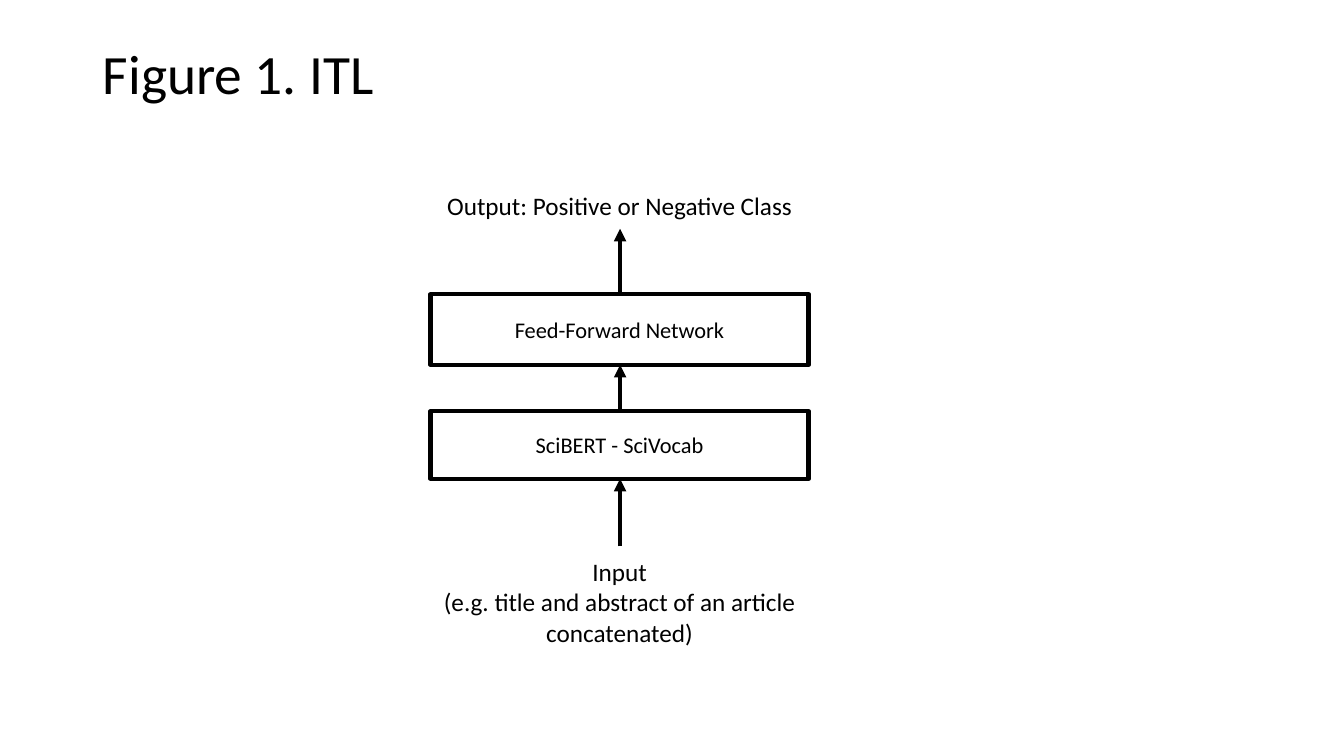
from lxml.etree import SubElement
from pptx import Presentation
from pptx.dml.color import RGBColor
from pptx.enum.shapes import MSO_CONNECTOR, MSO_SHAPE
from pptx.enum.text import MSO_ANCHOR, MSO_AUTO_SIZE, PP_ALIGN
from pptx.oxml.ns import qn
from pptx.util import Inches, Pt

COLORS = {"ink": "000000", "paper": "FFFFFF"}
INK = RGBColor.from_string(COLORS["ink"])
PAPER = RGBColor.from_string(COLORS["paper"])
COLUMN_LEFT, COLUMN_WIDTH = 4.27, 3.75
COLUMN_CENTER = 6.15
STROKE = Pt(3)


def write(frame, lines, size, align=PP_ALIGN.CENTER, spacing=None):
    frame.word_wrap = True
    frame.text = "\n".join(lines)
    for paragraph in frame.paragraphs:
        paragraph.alignment = align
        paragraph.line_spacing = spacing
        font_values = {"name": "Calibri", "size": Pt(size)}
        for attribute, value in font_values.items():
            setattr(paragraph.font, attribute, value)
            setattr(paragraph.runs[0].font, attribute, value)
        paragraph.runs[0].font.color.rgb = INK


deck = Presentation()
deck.slide_width, deck.slide_height = Inches(13.33), Inches(7.5)
slide = deck.slides.add_slide(deck.slide_layouts[5])

heading = slide.shapes.title
heading_place = {"left": 0.92, "top": 0.4, "width": 11.5, "height": 0.72}
for attribute, value in heading_place.items():
    setattr(heading, attribute, Inches(value))
heading.text_frame.auto_size = MSO_AUTO_SIZE.NONE
heading.text_frame.vertical_anchor = MSO_ANCHOR.MIDDLE
write(heading.text_frame, ["Figure 1. ITL"], 39.6, PP_ALIGN.LEFT, 0.9)

layers = [("SciBERT - SciVocab", 4.08, 0.67), ("Feed-Forward Network", 2.92, 0.7)]
for layer_name, top, height in layers:
    layer = slide.shapes.add_shape(
        MSO_SHAPE.RECTANGLE,
        Inches(COLUMN_LEFT), Inches(top), Inches(COLUMN_WIDTH), Inches(height),
    )
    layer.shadow.inherit = False
    layer.fill.solid()
    layer.fill.fore_color.rgb = PAPER
    layer.line.color.rgb = INK
    layer.line.width = STROKE
    layer.text_frame.vertical_anchor = MSO_ANCHOR.MIDDLE
    write(layer.text_frame, [layer_name], 16)

endpoints = [
    (["Input", "(e.g. title and abstract of an article concatenated)"], 5.47, 1.01),
    (["Output: Positive or Negative Class"], 1.84, 0.4),
]
for lines, top, height in endpoints:
    endpoint = slide.shapes.add_textbox(
        Inches(COLUMN_LEFT), Inches(top), Inches(COLUMN_WIDTH), Inches(height)
    )
    write(endpoint.text_frame, lines, 18)
    endpoint.text_frame.auto_size = MSO_AUTO_SIZE.SHAPE_TO_FIT_TEXT

for start, end in [(5.42, 4.75), (4.08, 3.62), (2.92, 2.27)]:
    flow = slide.shapes.add_connector(
        MSO_CONNECTOR.STRAIGHT,
        Inches(COLUMN_CENTER), Inches(start), Inches(COLUMN_CENTER), Inches(end),
    )
    flow.line.color.rgb = INK
    flow.line.width = STROKE
    SubElement(flow.line._get_or_add_ln(), qn("a:tailEnd"), type="triangle")
    SubElement(flow._element.spPr, qn("a:effectLst"))

deck.save("out.pptx")
